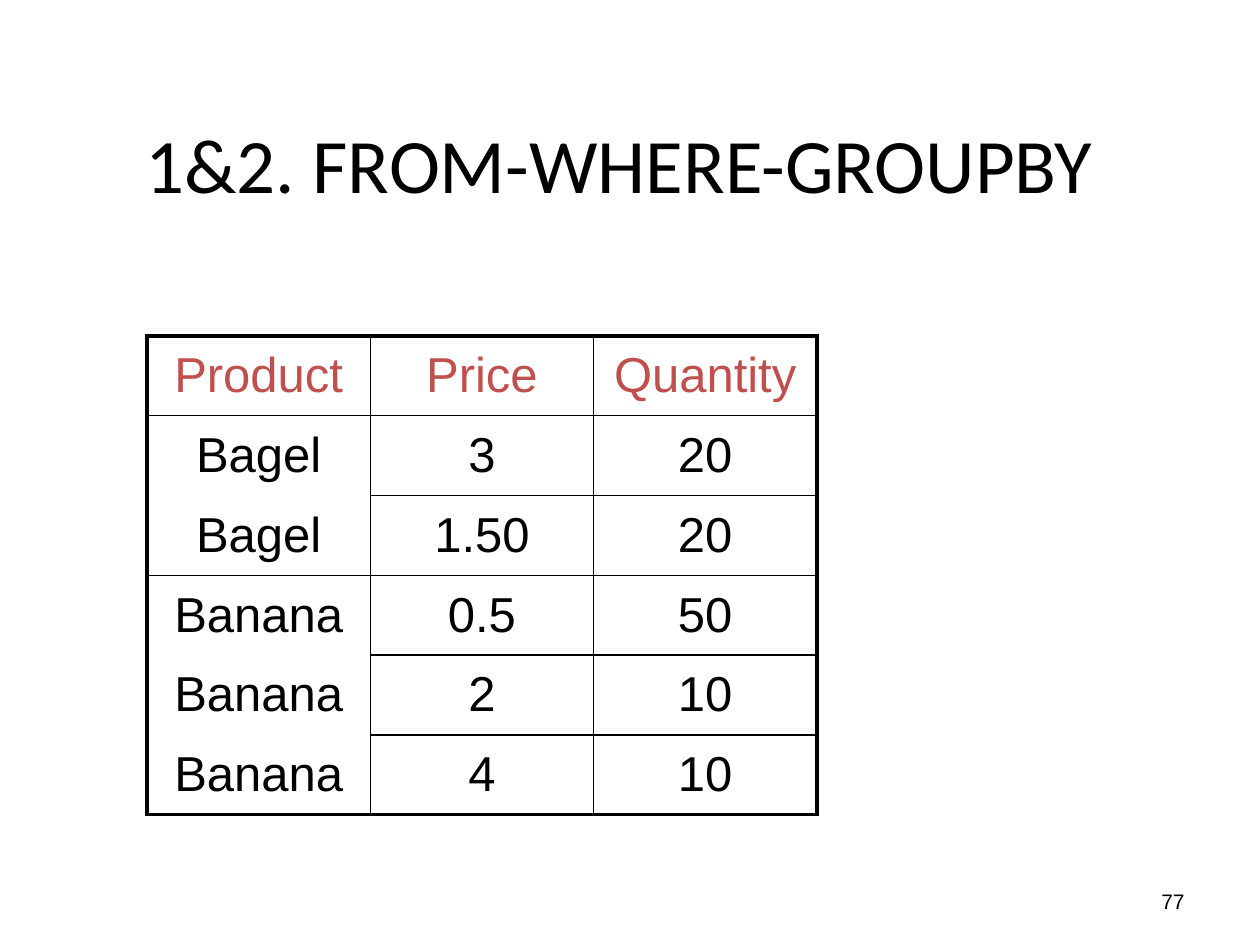
from lxml import etree
from pptx import Presentation
from pptx import util as u
from pptx.dml.color import RGBColor
from pptx.enum import text
from pptx.oxml import ns

BLACK = RGBColor(0x00, 0x00, 0x00)
RED = RGBColor(0xC0, 0x50, 0x4D)
UNIT = u.Inches(1) / 6
THICK, THIN = 2.25, 1

ROWS = [
    ("Product", "Price", "Quantity"),
    ("Bagel", "3", "20"),
    ("Bagel", "1.50", "20"),
    ("Banana", "0.5", "50"),
    ("Banana", "2", "10"),
    ("Banana", "4", "10"),
]


class Deck:
    body_font = "Arial"
    title_font = "Calibri"

    def __init__(self):
        self.prs = Presentation()
        self.prs.slide_width, self.prs.slide_height = u.Inches(10), u.Inches(7.5)
        self.s = self.prs.slides.add_slide(self.prs.slide_layouts[6])

    def grid(self, *units):
        return [u.Emu(round(n * UNIT)) for n in units]

    def style(self, p, size, align, color=BLACK, font=body_font):
        p.alignment = align
        p.font.name, p.font.size = font, u.Pt(size)
        p.font.color.rgb = color

    def label(self, words, box, size, align, font=body_font):
        tf = self.s.shapes.add_textbox(*self.grid(*box)).text_frame
        tf.word_wrap = True
        tf.vertical_anchor = text.MSO_ANCHOR.MIDDLE
        p = tf.paragraphs[0]
        p.text = words
        self.style(p, size, align, font=font)

    def border(self, cell, side, width):
        tcPr = cell._tc.get_or_add_tcPr()
        ln = etree.SubElement(tcPr, ns.qn(f"a:ln{side}"), w=str(u.Pt(width)))
        if not width:
            etree.SubElement(ln, ns.qn("a:noFill"))
            return
        fill = etree.SubElement(ln, ns.qn("a:solidFill"))
        etree.SubElement(fill, ns.qn("a:srgbClr"), val=str(BLACK))

    def table(self, rows, box):
        last_row, last_col = len(rows) - 1, len(rows[0]) - 1
        frame = self.s.shapes.add_table(len(rows), len(rows[0]), *self.grid(*box))
        table = frame.table
        table.first_row = table.horz_banding = False

        def rule(above, col):
            if above in (-1, last_row):
                return THICK
            same_group = col == 0 and rows[above][0] == rows[above + 1][0]
            return 0 if same_group else THIN

        for i, row in enumerate(rows):
            for j, value in enumerate(row):
                cell = table.cell(i, j)
                cell.vertical_anchor = text.MSO_ANCHOR.MIDDLE
                p = cell.text_frame.paragraphs[0]
                p.text = value
                self.style(p, 28, text.PP_ALIGN.CENTER, BLACK if i else RED)
                self.border(cell, "L", THIN if j else THICK)
                self.border(cell, "R", THICK if j == last_col else THIN)
                self.border(cell, "T", rule(i - 1, j))
                self.border(cell, "B", rule(i, j))
                cell.fill.background()


def main():
    deck = Deck()
    deck.label("77", (43, 41.7, 14, 2.4), 12, text.PP_ALIGN.RIGHT)
    deck.label("1&2. FROM-WHERE-GROUPBY", (2.5, 4, 54, 7.5), 44,
               text.PP_ALIGN.CENTER, Deck.title_font)
    deck.table(ROWS, (7, 16, 31.9, 22.8))
    deck.prs.save("out.pptx")


if __name__ == "__main__":
    main()
